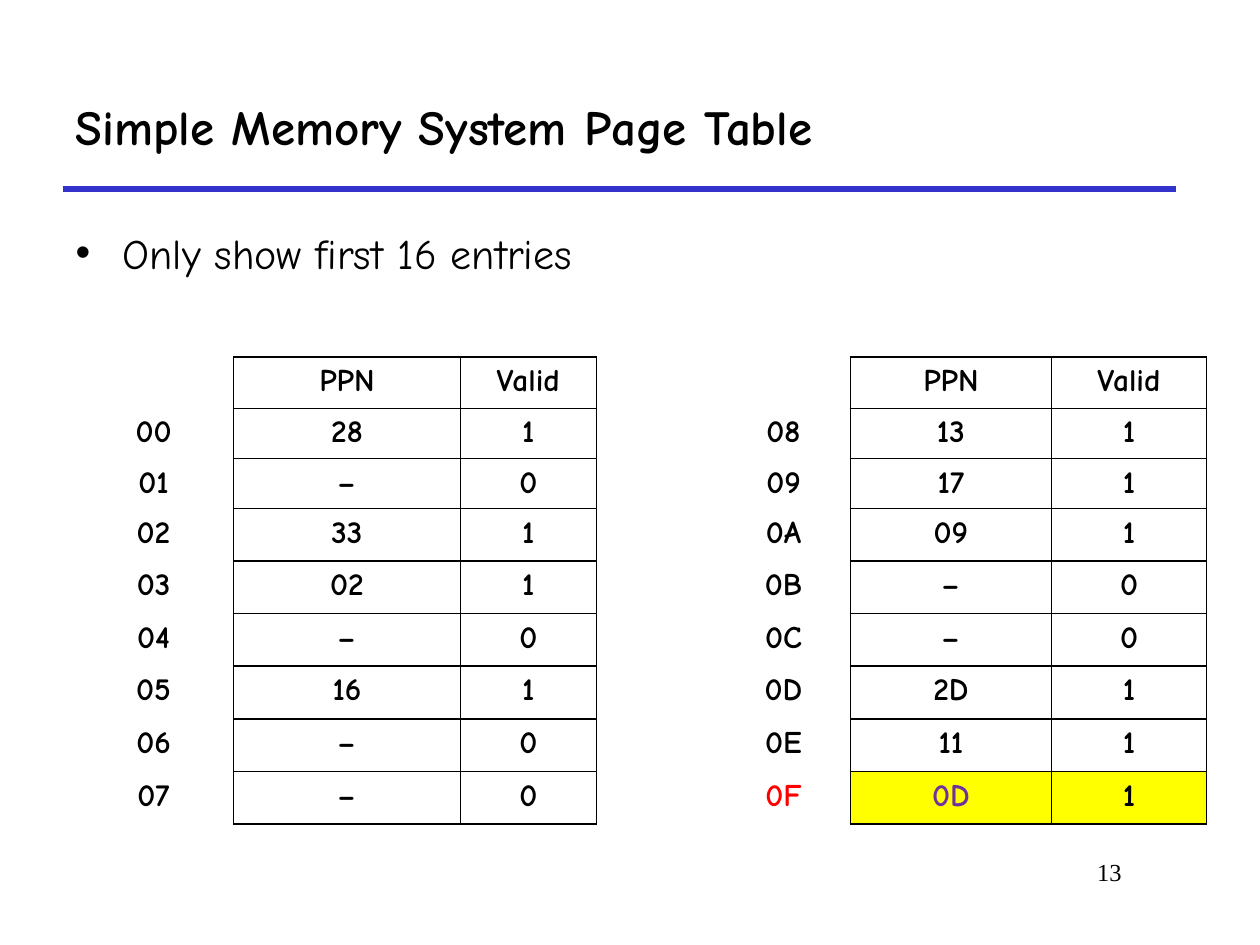
from lxml import etree
from pptx import Presentation
from pptx.dml.color import RGBColor
from pptx.enum.shapes import MSO_CONNECTOR
from pptx.enum.text import MSO_ANCHOR, MSO_AUTO_SIZE, PP_ALIGN
from pptx.oxml.ns import qn
from pptx.util import Cm, Pt

STRAIGHT = MSO_CONNECTOR.STRAIGHT
MIDDLE, TOP = MSO_ANCHOR.MIDDLE, MSO_ANCHOR.TOP
LEFT, CENTER, RIGHT = PP_ALIGN.LEFT, PP_ALIGN.CENTER, PP_ALIGN.RIGHT
NO_FIT = MSO_AUTO_SIZE.NONE
COLORS = {"text": "000000", "rule": "3333CC", "index": "FF0000",
          "frame": "7030A0", "highlight": "FFFF00"}
FONT, NUMBER_FONT = "Comic Neue", "Times New Roman"
ROW_HEIGHTS = [1.01] * 3 + [1.06] * 6
LOW_PAGES = [("", "PPN", "Valid"), ("00", "28", "1"), ("01", "–", "0"),
             ("02", "33", "1"), ("03", "02", "1"), ("04", "–", "0"),
             ("05", "16", "1"), ("06", "–", "0"), ("07", "–", "0")]
HIGH_PAGES = [("", "PPN", "Valid"), ("08", "13", "1"), ("09", "17", "1"),
              ("0A", "09", "1"), ("0B", "–", "0"), ("0C", "–", "0"),
              ("0D", "2D", "1"), ("0E", "11", "1"), ("0F", "0D", "1")]


def rgb(name):
    """Return the named palette colour."""
    return RGBColor.from_string(COLORS[name])


def write(tf, text, size, align, anchor, bold=False, color="text", font=FONT):
    """Fill a text frame with one formatted paragraph."""
    tf.text = text
    tf.word_wrap = True
    tf.vertical_anchor = anchor
    p = tf.paragraphs[0]
    p.alignment = align
    for r in p.runs:
        r.font.size, r.font.bold, r.font.name = Pt(size), bold, font
        r.font.color.rgb = rgb(color)
    return p


def place(sp, box):
    """Move a shape to a box given in centimetres."""
    sp.left, sp.top, sp.width, sp.height = (Cm(v) for v in box)


def add_heading(s, box):
    """Place the title with the rule along its bottom edge."""
    left, top, width, height = box
    place(s.shapes.title, box)
    tf = s.shapes.title.text_frame
    tf.auto_size = NO_FIT
    write(tf, "Simple Memory System Page Table", 28, LEFT, MIDDLE, bold=True)
    bottom = Cm(top + height)
    line = s.shapes.add_connector(STRAIGHT, Cm(left), bottom, Cm(left + width), bottom)
    line.line.color.rgb = rgb("rule")
    line.line.width = Pt(3)
    etree.SubElement(line._element.spPr, qn("a:effectLst"))


def add_bullet(s, box):
    """Place the bulleted statement in the body placeholder."""
    body = s.placeholders[1]
    place(body, box)
    body.text_frame.auto_size = NO_FIT
    p = write(body.text_frame, "Only show first 16 entries", 24, LEFT, TOP)
    p.space_before = Pt(0)
    pPr = p._p.get_or_add_pPr()
    pPr.set("marL", str(Cm(0.95)))
    pPr.set("indent", str(-Cm(0.95)))
    etree.SubElement(pPr, qn("a:buChar"), char="•")


def set_borders(cell, visible):
    """Draw the listed sides in black and hide the others."""
    tcPr = cell._tc.get_or_add_tcPr()
    for i, side in enumerate("LRTB"):
        ln = etree.Element(qn(f"a:ln{side}"), w=str(Pt(1)))
        if side in visible:
            fill = etree.SubElement(ln, qn("a:solidFill"))
            etree.SubElement(fill, qn("a:srgbClr"), val=COLORS["text"])
        else:
            etree.SubElement(ln, qn("a:noFill"))
        tcPr.insert(i, ln)


def add_page_table(s, left, top, widths, rows, marked=None):
    """Place a page table, highlighting the marked index if there is one."""
    frame = s.shapes.add_table(len(rows), len(widths), Cm(left), Cm(top),
                               Cm(sum(widths)), Cm(sum(ROW_HEIGHTS)))
    table = frame.table
    table.first_row = table.horz_banding = False
    for column, width in zip(table.columns, widths):
        column.width = Cm(width)
    for i, (row, height) in enumerate(zip(rows, ROW_HEIGHTS)):
        table.rows[i].height = Cm(height)
        is_marked = row[0] == marked
        colors = ("index", "frame", "text") if is_marked else ("text",) * 3
        for j, (text, color) in enumerate(zip(row, colors)):
            cell = table.cell(i, j)
            write(cell.text_frame, text, 18, CENTER, TOP, bold=True, color=color)
            if is_marked and j > 0:
                cell.fill.solid()
                cell.fill.fore_color.rgb = rgb("highlight")
            else:
                cell.fill.background()
            set_borders(cell, "LRTB" if j else "R")


def add_page_number(s, box):
    """Place the slide number."""
    sp = s.shapes.add_textbox(*(Cm(v) for v in box))
    write(sp.text_frame, "13", 14, RIGHT, TOP, font=NUMBER_FONT)


def main():
    """Build and save the slide."""
    prs = Presentation()
    prs.slide_width, prs.slide_height = Cm(25.4), Cm(19.05)
    s = prs.slides.add_slide(prs.slide_layouts[1])
    add_heading(s, (1.27, 1.27, 22.43, 2.54))
    add_bullet(s, (1.27, 4.45, 20.95, 1.47))
    add_page_table(s, 1.48, 7.2, (3.23, 4.57, 2.74), LOW_PAGES)
    add_page_table(s, 14.45, 7.2, (2.69, 4.06, 3.12), HIGH_PAGES, marked="0F")
    add_page_number(s, (19.25, 17.15, 3.61, 1.27))
    prs.save("out.pptx")


if __name__ == "__main__":
    main()
